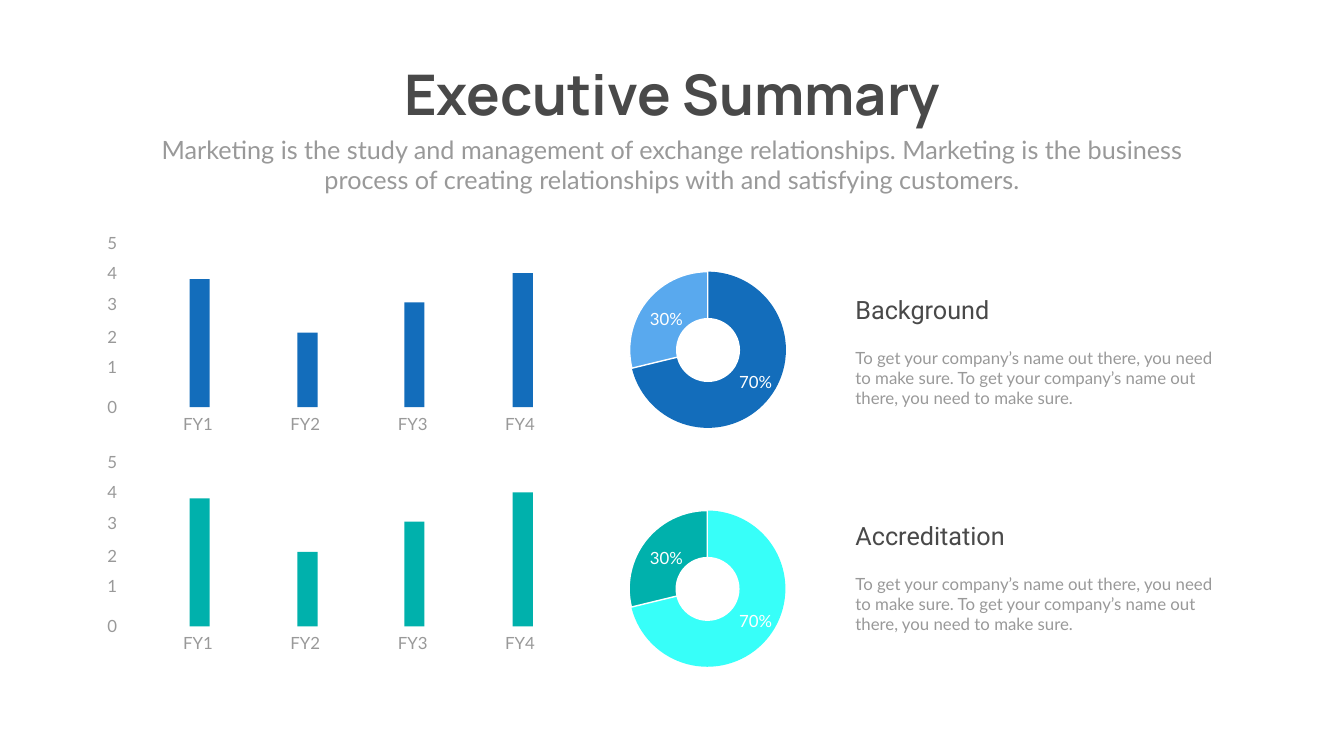
from pptx import Presentation
from pptx.dml.color import RGBColor
from pptx.enum.shapes import MSO_SHAPE
from pptx.enum.text import MSO_ANCHOR, MSO_AUTO_SIZE, PP_ALIGN
from pptx.util import Inches, Pt

RECT, OVAL, PIE = MSO_SHAPE.RECTANGLE, MSO_SHAPE.OVAL, MSO_SHAPE.PIE
LEFT, CENTER, RIGHT = PP_ALIGN.LEFT, PP_ALIGN.CENTER, PP_ALIGN.RIGHT
TOP, MIDDLE = MSO_ANCHOR.TOP, MSO_ANCHOR.MIDDLE
NO_FIT = MSO_AUTO_SIZE.NONE

COLORS = {
    "dark": "494949", "grey": "999999", "white": "FFFFFF",
    "blue": "136DBB", "sky": "59A9EE", "teal": "00B1AC", "aqua": "37FFF9",
}

prs = Presentation()
prs.slide_width, prs.slide_height = Inches(26.66), Inches(15)
slide = prs.slides.add_slide(prs.slide_layouts[0])


def write(words, left, top, width, height, size, font="Lato", color="grey",
          align=LEFT, wrap=True, bold=False, anchor=TOP, holder=None):
    """Write one paragraph in a placeholder, or in a new text box."""
    box = holder or slide.shapes.add_textbox(0, 0, 0, 0)
    box.left, box.top = Inches(left), Inches(top)
    box.width, box.height = Inches(width), Inches(height)
    frame = box.text_frame
    frame.auto_size = NO_FIT
    frame.word_wrap = wrap
    frame.vertical_anchor = anchor
    paragraph = frame.paragraphs[0]
    paragraph.alignment = align
    paragraph.space_before = Pt(0)
    run = paragraph.add_run()
    run.text = words
    run.font.name, run.font.size, run.font.bold = font, Pt(size), bold
    run.font.color.rgb = RGBColor.from_string(COLORS[color])


def draw(kind, left, top, width, height, fill):
    """Draw a plain filled shape without an outline."""
    shape = slide.shapes.add_shape(kind, Inches(left), Inches(top),
                                   Inches(width), Inches(height))
    shape.shadow.inherit = False
    shape.fill.solid()
    shape.fill.fore_color.rgb = RGBColor.from_string(COLORS[fill])
    shape.line.fill.background()
    return shape


# Heading
write("Executive Summary", 7.44, 1.12, 11.79, 1.45, 80, "Manrope", "dark",
      CENTER, wrap=False, bold=True, anchor=MIDDLE, holder=slide.shapes.title)
write("Marketing is the study and management of exchange relationships. "
      "Marketing is the business process of creating relationships with and "
      "satisfying customers.", 2.92, 2.61, 20.82, 1.31, 36, align=CENTER,
      holder=slide.placeholders[1])

# Bar diagrams: the axis steps are uneven, so bars and labels are placed by hand
BARS = [("FY1", 3.76, 2.54), ("FY2", 5.9, 1.48),
        ("FY3", 8.02, 2.08), ("FY4", 10.17, 2.66)]
TICKS = [("5", -3.51), ("4", -2.92), ("3", -2.3),
         ("2", -1.65), ("1", -1.05), ("0", -0.26)]
for baseline, bar_color in [(8.08, "blue"), (12.43, "teal")]:
    for index, (year, bar_left, bar_height) in enumerate(BARS):
        draw(RECT, bar_left, baseline - bar_height, 0.4, bar_height, bar_color)
        write(year, 2.68 + 2.13 * index, baseline + 0.07, 2.49, 0.22, 24,
              align=CENTER)
    for tick, offset in TICKS:
        write(tick, 1.84, baseline + offset, 0.58, 0.46, 24, align=RIGHT)

# Donuts: a disc, a pie slice and a white hole
DEGREE = 0.6  # pie adjustment units in one degree
for ring_left, ring_top, ring_color, slice_color in [
        (12.49, 5.39, "blue", "sky"), (12.48, 10.13, "aqua", "teal")]:
    draw(OVAL, ring_left, ring_top, 3.1, 3.1, ring_color)
    share = draw(PIE, ring_left, ring_top, 3.1, 3.1, slice_color)
    share.adjustments[0] = 166.34 * DEGREE
    share.adjustments[1] = 270 * DEGREE
    share.line.color.rgb = RGBColor.from_string(COLORS["white"])
    share.line.width = Pt(2)
    draw(OVAL, ring_left + 0.92, ring_top + 0.92, 1.27, 1.27, "white")
    for percent, label_left, drop in [("30%", 12.79, 0.69), ("70%", 14.56, 1.94)]:
        write(percent, label_left, ring_top + drop, 0.86, 0.5, 24,
              color="white", align=CENTER, wrap=False)

# Topics
for topic, topic_top in [("Background", 5.79), ("Accreditation", 10.28)]:
    write(topic, 16.87, topic_top, 3.26, 0.71, 36, "Roboto", "dark")
    write("To get your company’s name out there, you need to make sure. "
          "To get your company’s name out there, you need to make sure.",
          16.87, topic_top + 1.05, 7.4, 1.31, 24)

prs.save("out.pptx")
